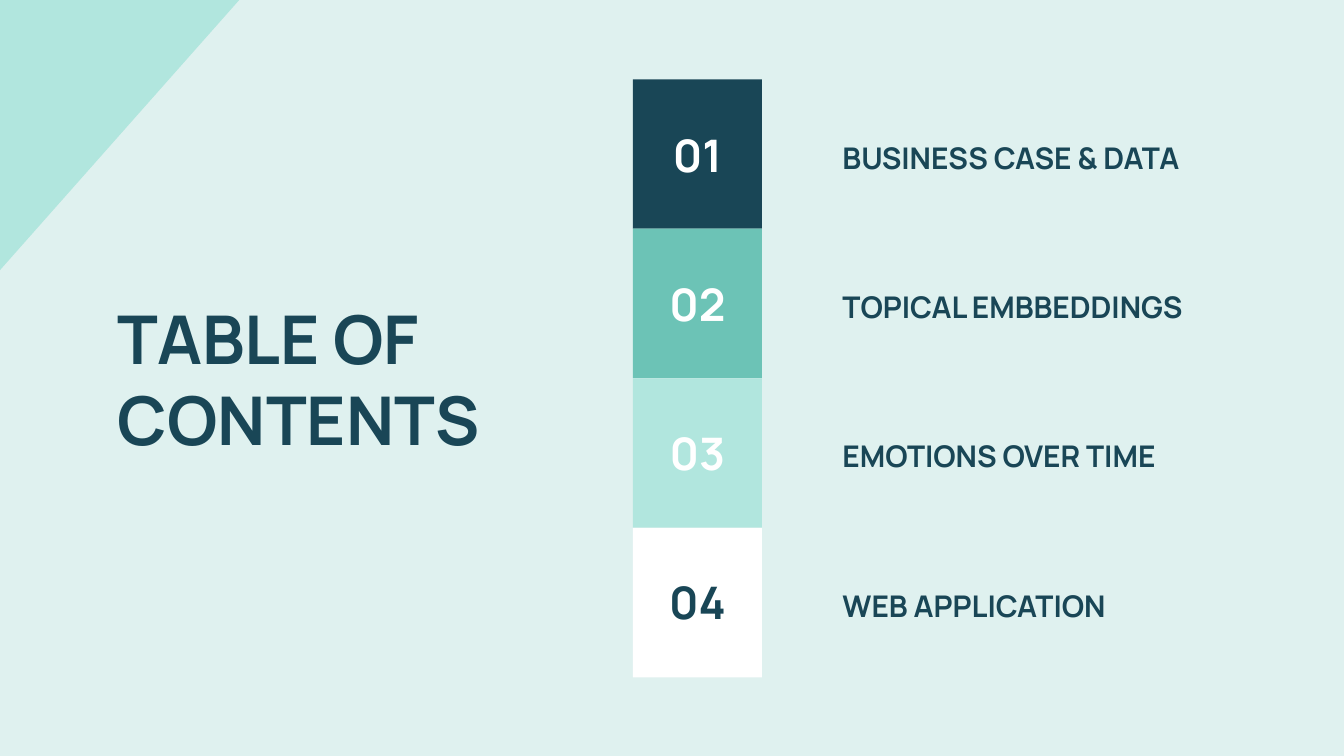
from pptx import Presentation
from pptx.dml.color import RGBColor
from pptx.enum.shapes import MSO_SHAPE
from pptx.enum.text import MSO_ANCHOR, PP_ALIGN
from pptx.util import Inches, Pt

RECTANGLE = MSO_SHAPE.RECTANGLE
TOP, MIDDLE = MSO_ANCHOR.TOP, MSO_ANCHOR.MIDDLE
LEFT, CENTER = PP_ALIGN.LEFT, PP_ALIGN.CENTER

FONT = "Manrope"
COLORS = {
    "background": "DFF1EF",
    "navy": "194656",
    "teal": "6CC3B6",
    "mint": "B1E6DE",
    "white": "FFFFFF",
}

# Section label, tile colour, number colour
SECTIONS = [
    ("BUSINESS CASE & DATA", "navy", "white"),
    ("TOPICAL EMBBEDDINGS", "teal", "white"),
    ("EMOTIONS OVER TIME", "mint", "white"),
    ("WEB APPLICATION", "white", "navy"),
]
TILE_LEFT, TILE_WIDTH = 4.71, 0.96
STACK_TOP, STACK_BOTTOM = 0.59, 5.04
TILE_HEIGHT = (STACK_BOTTOM - STACK_TOP) / len(SECTIONS)
NUMBER_TOP, LABEL_TOP, TEXT_STEP = 0.8, 0.94, 1.11


def color(name):
    return RGBColor.from_string(COLORS[name])


def paint(shape, fill):
    shape.shadow.inherit = False
    shape.fill.solid()
    shape.fill.fore_color.rgb = color(fill)
    shape.line.fill.background()


def add_text(page, left, top, width, height, text, size, ink="navy",
             align=LEFT, anchor=TOP, side_inset=0.1, space_after=0):
    box = page.shapes.add_textbox(
        Inches(left), Inches(top), Inches(width), Inches(height))
    frame = box.text_frame
    frame_format = {
        "word_wrap": True,
        "vertical_anchor": anchor,
        "margin_left": Inches(side_inset),
        "margin_right": Inches(side_inset),
        "margin_top": Inches(0.1),
        "margin_bottom": Inches(0.1),
    }
    for name, value in frame_format.items():
        setattr(frame, name, value)

    para = frame.paragraphs[0]
    for name, value in {"alignment": align, "space_after": Pt(space_after)}.items():
        setattr(para, name, value)

    span = para.add_run()
    span.text = text
    for name, value in {"name": FONT, "size": Pt(size), "bold": True}.items():
        setattr(span.font, name, value)
    span.font.color.rgb = color(ink)


def add_corner(page):
    builder = page.shapes.build_freeform(0, 0)
    builder.add_line_segments(
        [(0, Inches(2.01)), (Inches(1.78), 0)], close=True)
    paint(builder.convert_to_shape(), "mint")


def add_tile(page, top, fill):
    tile = page.shapes.add_shape(
        RECTANGLE, Inches(TILE_LEFT), Inches(top),
        Inches(TILE_WIDTH), Inches(TILE_HEIGHT))
    paint(tile, fill)


def main():
    deck = Presentation()
    deck.slide_width, deck.slide_height = Inches(10), Inches(10 * 9 / 16)
    page = deck.slides.add_slide(deck.slide_layouts[6])
    page.background.fill.solid()
    page.background.fill.fore_color.rgb = color("background")

    # Corner decoration and stack of tiles
    add_corner(page)
    for index, (_, fill, _) in enumerate(SECTIONS):
        add_tile(page, STACK_TOP + index * TILE_HEIGHT, fill)

    # Title
    add_text(page, 0.78, 1.81, 3.44, 2.01, "TABLE OF CONTENTS", 36,
             anchor=MIDDLE)

    # Numbers on the tiles
    for index, (_, _, ink) in enumerate(SECTIONS):
        add_text(page, TILE_LEFT, NUMBER_TOP + index * TEXT_STEP, TILE_WIDTH, 0.7,
                 f"{index + 1:02d}", 24, ink=ink, align=CENTER, anchor=MIDDLE,
                 side_inset=0)

    # Section labels
    for index, (label, _, _) in enumerate(SECTIONS):
        add_text(page, 6.17, LABEL_TOP + index * TEXT_STEP, 3.05, 0.4,
                 label, 16, space_after=8)

    deck.save("out.pptx")


if __name__ == "__main__":
    main()
